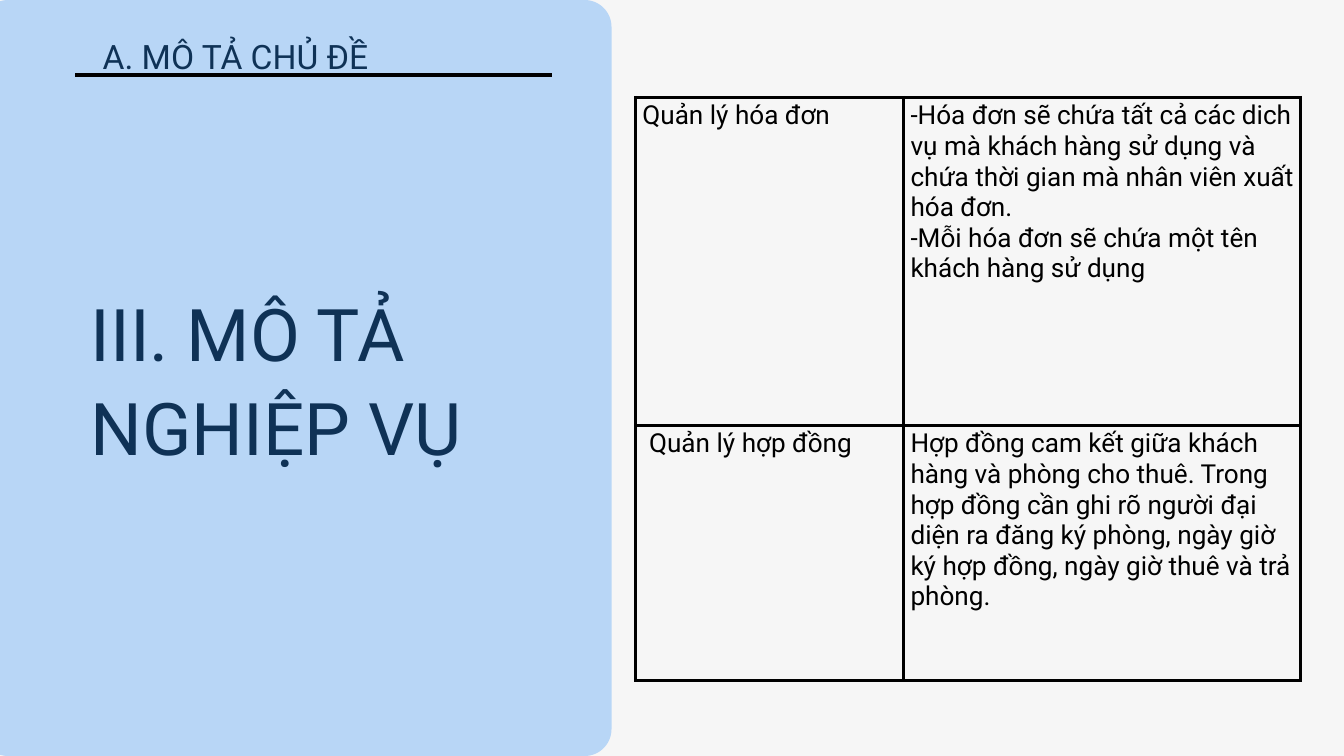
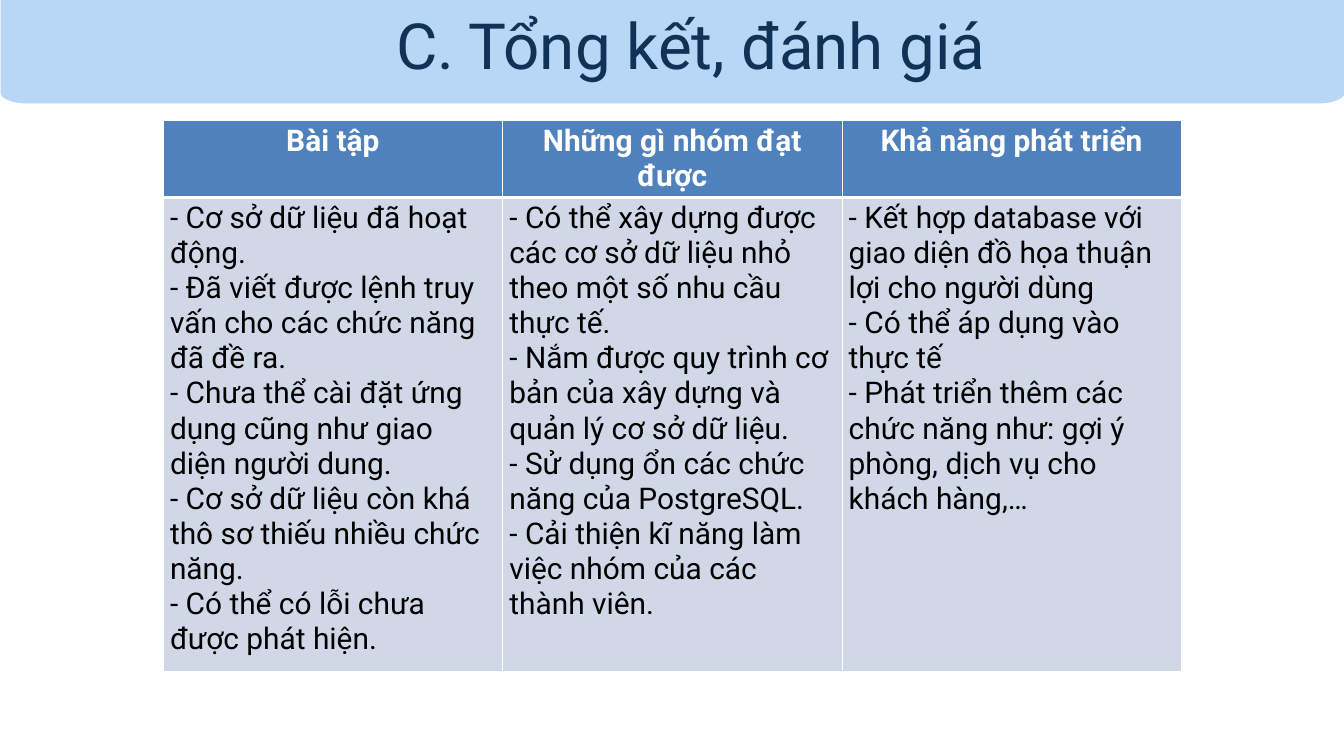
from math import cos, sin, radians
from lxml.etree import SubElement
from pptx import Presentation
from pptx.dml.color import RGBColor
from pptx.enum.shapes import MSO_CONNECTOR
from pptx.enum.text import MSO_ANCHOR, MSO_AUTO_SIZE, PP_ALIGN
from pptx.oxml.ns import qn
from pptx.util import Inches, Pt

HUES = {"panel": "B8D6F6", "title": "0F3256", "black": "000000",
        "white": "FFFFFF", "pale": "F6F6F6", "head": "4F81BD", "body": "D0D8E8"}
COLOR = {name: RGBColor.from_string(code) for name, code in HUES.items()}
FONT = "Roboto"


def write(frame, text, size, color="black", bold=False, align=PP_ALIGN.LEFT, space=None):
    """Fill a text frame, one paragraph for each line of text."""
    frame.text = text
    frame.word_wrap = True
    for para in frame.paragraphs:
        para.alignment = align
        if space:
            para.line_spacing = Pt(space)
        for run in para.runs:
            run.font.name = FONT
            run.font.size = Pt(size)
            run.font.bold = bold
            run.font.color.rgb = COLOR[color]


deck = Presentation()
deck.slide_width, deck.slide_height = Inches(20), Inches(11.25)

# Per slide: background, panel box with corner radii, title box and format
pages = [
    ("pale", (-0.28, 0, 9.38, 11.25, 0.4, 0.4), (1.35, 4.19, 6.13, 2.78),
     dict(text="III. MÔ TẢ NGHIỆP VỤ", size=77.8, space=101.1)),
    ("white", (0.01, -0.35, 20, 1.89, 0.4, 0.16), (4.03, -0.11, 12.5, 1.25),
     dict(text="C. Tổng kết, đánh giá", size=68.2, space=95.5, align=PP_ALIGN.CENTER)),
]
for back, (left, top, wide, high, rx, ry), box, style in pages:
    slide = deck.slides.add_slide(deck.slide_layouts[5])
    slide.background.fill.solid()
    slide.background.fill.fore_color.rgb = COLOR[back]

    # Panel with rounded corners, clockwise from the lower right
    points = []
    for turn, (cx, cy) in enumerate([(left + wide - rx, top + high - ry), (left + rx, top + high - ry),
                                     (left + rx, top + ry), (left + wide - rx, top + ry)]):
        for step in range(0, 91, 6):
            angle = radians(90 * turn + step)
            points.append((Inches(cx + rx * cos(angle)), Inches(cy + ry * sin(angle))))
    draw = slide.shapes.build_freeform(*points[0])
    draw.add_line_segments(points[1:], close=True)
    panel = draw.convert_to_shape()
    panel.shadow.inherit = False
    panel.fill.solid()
    panel.fill.fore_color.rgb = COLOR["panel"]
    panel.line.fill.background()

    # Title, brought in front of the panel
    title = slide.shapes.title
    title.left, title.top, title.width, title.height = map(Inches, box)
    frame = title.text_frame
    frame.margin_left = frame.margin_right = frame.margin_top = frame.margin_bottom = 0
    frame.vertical_anchor = MSO_ANCHOR.TOP
    frame.auto_size = MSO_AUTO_SIZE.NONE
    write(frame, color="title", **style)
    title.element.getparent().append(title.element)

# Section label and its rule
first, last = deck.slides
rule = first.shapes.add_connector(MSO_CONNECTOR.STRAIGHT, *map(Inches, (1.12, 1.12, 8.22, 1.12)))
rule.line.color.rgb = COLOR["black"]
rule.line.width = Pt(3.75)
SubElement(rule.element.spPr, qn("a:effectLst"))
label = first.shapes.add_textbox(*map(Inches, (1.02, 0.49, 4.97, 0.64))).text_frame
label.margin_left = label.margin_right = label.margin_top = label.margin_bottom = 0
write(label, "A. MÔ TẢ CHỦ ĐỀ", 36, color="title", align=PP_ALIGN.CENTER, space=46.8)

# Table contents
tasks = [
    ["Quản lý hóa đơn",
     "-Hóa đơn sẽ chứa tất cả các dich vụ mà khách hàng sử dụng và chứa thời gian "
     "mà nhân viên xuất hóa đơn.\n"
     "-Mỗi hóa đơn sẽ chứa một tên khách hàng sử dụng"],
    ["Quản lý hợp đồng",
     "Hợp đồng cam kết giữa khách hàng và phòng cho thuê. Trong hợp đồng cần ghi rõ "
     "người đại diện ra đăng ký phòng, ngày giờ ký hợp đồng, ngày giờ thuê và trả phòng."],
]
review = [
    ["Bài tập", "Những gì nhóm đạt được", "Khả năng phát triển"],
    ["- Cơ sở dữ liệu đã hoạt động.\n"
     "- Đã viết được lệnh truy vấn cho các chức năng đã đề ra.\n"
     "- Chưa thể cài đặt ứng dụng cũng như giao diện người dung.\n"
     "- Cơ sở dữ liệu còn khá thô sơ thiếu nhiều chức năng.\n"
     "- Có thể có lỗi chưa được phát hiện.",
     "- Có thể xây dựng được các cơ sở dữ liệu nhỏ theo một số nhu cầu thực tế.\n"
     "- Nắm được quy trình cơ bản của xây dựng và quản lý cơ sở dữ liệu.\n"
     "- Sử dụng ổn các chức năng của PostgreSQL.\n"
     "- Cải thiện kĩ năng làm việc nhóm của các thành viên.",
     "- Kết hợp database với giao diện đồ họa thuận lợi cho người dùng\n"
     "- Có thể áp dụng vào thực tế\n"
     "- Phát triển thêm các chức năng như: gợi ý phòng, dịch vụ cho khách hàng,…"],
]

# Per table: place, sizes, text size, edge colour and, for each row,
# fill, text format and edge widths (left, right, top, bottom)
plain = (None, {}, (3.75,) * 4)
head = ("head", dict(color="white", bold=True, align=PP_ALIGN.CENTER), (1, 1, 1, 3))
body = ("body", {}, (1, 1, 3, 1))
grids = [
    (first, tasks, (9.46, 1.45), (3.99, 5.9), (4.88, 3.79), 28, "black", (plain, plain)),
    (last, review, (2.43, 1.79), (5.05,) * 3, (1.15, 7.05), 32, "white", (head, body)),
]
for slide, data, (left, top), cols, rows, size, edge, looks in grids:
    table = slide.shapes.add_table(len(rows), len(cols), Inches(left), Inches(top),
                                   Inches(sum(cols)), Inches(sum(rows))).table
    table.first_row = slide is last
    table.horz_banding = False
    for col, wide in zip(table.columns, cols):
        col.width = Inches(wide)
    for row, high, texts, (fill, style, widths) in zip(table.rows, rows, data, looks):
        row.height = Inches(high)
        for cell, text in zip(row.cells, texts):
            write(cell.text_frame, text, size, **style)
            # Edges go before the fill
            props = cell._tc.get_or_add_tcPr()
            for side, width in zip("LRTB", widths):
                line = SubElement(props, qn(f"a:ln{side}"), w=str(Pt(width)))
                solid = SubElement(line, qn("a:solidFill"))
                SubElement(solid, qn("a:srgbClr"), val=HUES[edge])
            if fill:
                cell.fill.solid()
                cell.fill.fore_color.rgb = COLOR[fill]
            else:
                cell.fill.background()
    if slide is first:
        table.cell(1, 0).margin_left = Inches(0.2)

deck.save("out.pptx")
